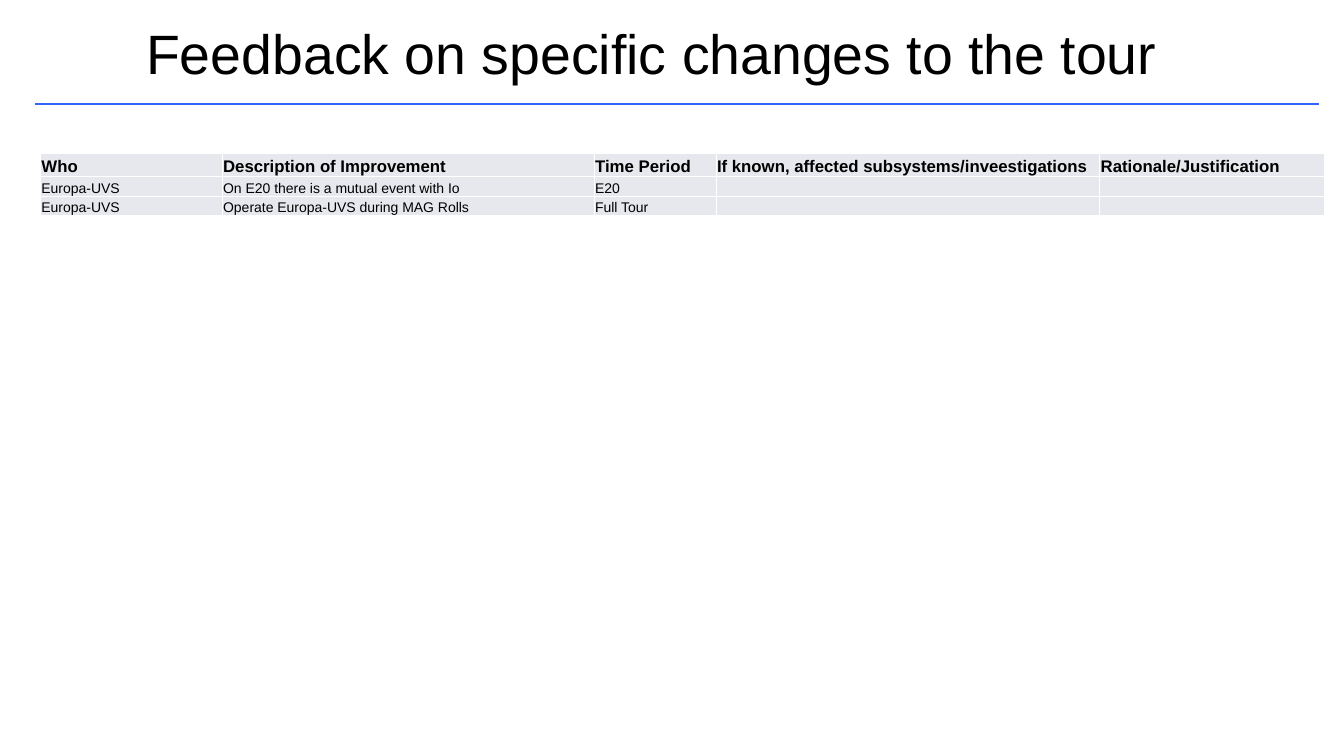
from dataclasses import dataclass

from lxml import etree
from pptx import Presentation
from pptx.dml.color import RGBColor
from pptx.enum.shapes import MSO_CONNECTOR
from pptx.enum.text import MSO_ANCHOR, MSO_AUTO_SIZE, PP_ALIGN
from pptx.oxml.ns import qn
from pptx.util import Pt

STRAIGHT = MSO_CONNECTOR.STRAIGHT
MIDDLE, BOTTOM = MSO_ANCHOR.MIDDLE, MSO_ANCHOR.BOTTOM
LEFT = PP_ALIGN.LEFT
NO_AUTOFIT = MSO_AUTO_SIZE.NONE


@dataclass(frozen=True)
class Theme:
    font: str = "Arial"
    ink: str = "000000"
    rule: str = "3266FF"
    cell: str = "E7E8EE"
    border: str = "FFFFFF"
    title_size: float = 39.6
    header_size: float = 12
    body_size: float = 10


theme = Theme()


def add_run(paragraph, text, size, bold=False):
    run = paragraph.add_run()
    run.text = text
    run.font.name = theme.font
    run.font.size = Pt(size)
    run.font.bold = bold
    run.font.color.rgb = RGBColor.from_string(theme.ink)


def add_borders(cell):
    properties = cell._tc.get_or_add_tcPr()
    for index, side in enumerate(("lnL", "lnR", "lnT", "lnB")):
        line = etree.Element(qn(f"a:{side}"), w=str(Pt(1)))
        fill = etree.SubElement(line, qn("a:solidFill"))
        etree.SubElement(fill, qn("a:srgbClr"), val=theme.border)
        properties.insert(index, line)


prs = Presentation()
prs.slide_width, prs.slide_height = Pt(960), Pt(540)
slide = prs.slides.add_slide(prs.slide_layouts[5])

# Rule under the title
rule = slide.shapes.add_connector(STRAIGHT, Pt(25.2), Pt(74.4), Pt(942.5), Pt(74.4))
rule.line.color.rgb = RGBColor.from_string(theme.rule)
rule.line.width = Pt(1)
etree.SubElement(rule._element.spPr, qn("a:effectLst"))

# Title
title = slide.shapes.title
title.left, title.top, title.width, title.height = Pt(97.2), Pt(8.6), Pt(765.4), Pt(64.1)
title.text_frame.word_wrap = True
title.text_frame.auto_size = NO_AUTOFIT
title.text_frame.vertical_anchor = MIDDLE
heading = title.text_frame.paragraphs[0]
heading.alignment = LEFT
heading.line_spacing = 0.9
add_run(heading, "Feedback on specific changes to the tour", theme.title_size)

# Feedback table
feedback = [
    ("Who", "Description of Improvement", "Time Period",
     "If known, affected subsystems/inveestigations", "Rationale/Justification"),
    ("Europa-UVS", "On E20 there is a mutual event with Io", "E20", "", ""),
    ("Europa-UVS", "Operate Europa-UVS during MAG Rolls", "Full Tour", "", ""),
]
column_widths = (129.8, 265.7, 87.1, 274.1, 160.4)
row_heights = (16.5, 14.1, 14.1)
table = slide.shapes.add_table(
    len(feedback), len(column_widths), Pt(29), Pt(109.6),
    Pt(sum(column_widths)), Pt(sum(row_heights))).table
table.horz_banding = False
for column, width in zip(table.columns, column_widths):
    column.width = Pt(width)

for row_index, entries in enumerate(feedback):
    table.rows[row_index].height = Pt(row_heights[row_index])
    is_header = row_index == 0
    size = theme.header_size if is_header else theme.body_size
    for column_index, entry in enumerate(entries):
        cell = table.cell(row_index, column_index)
        cell.margin_left = cell.margin_top = cell.margin_right = Pt(0.6)
        cell.margin_bottom = 0
        cell.vertical_anchor = BOTTOM
        cell.fill.solid()
        cell.fill.fore_color.rgb = RGBColor.from_string(theme.cell)
        add_borders(cell)
        paragraph = cell.text_frame.paragraphs[0]
        if entry:
            add_run(paragraph, entry, size, bold=is_header)
        else:
            # Small type keeps an empty cell from stretching its row
            etree.SubElement(paragraph._p, qn("a:endParaRPr"), sz=str(int(size * 100)))

prs.save("out.pptx")
